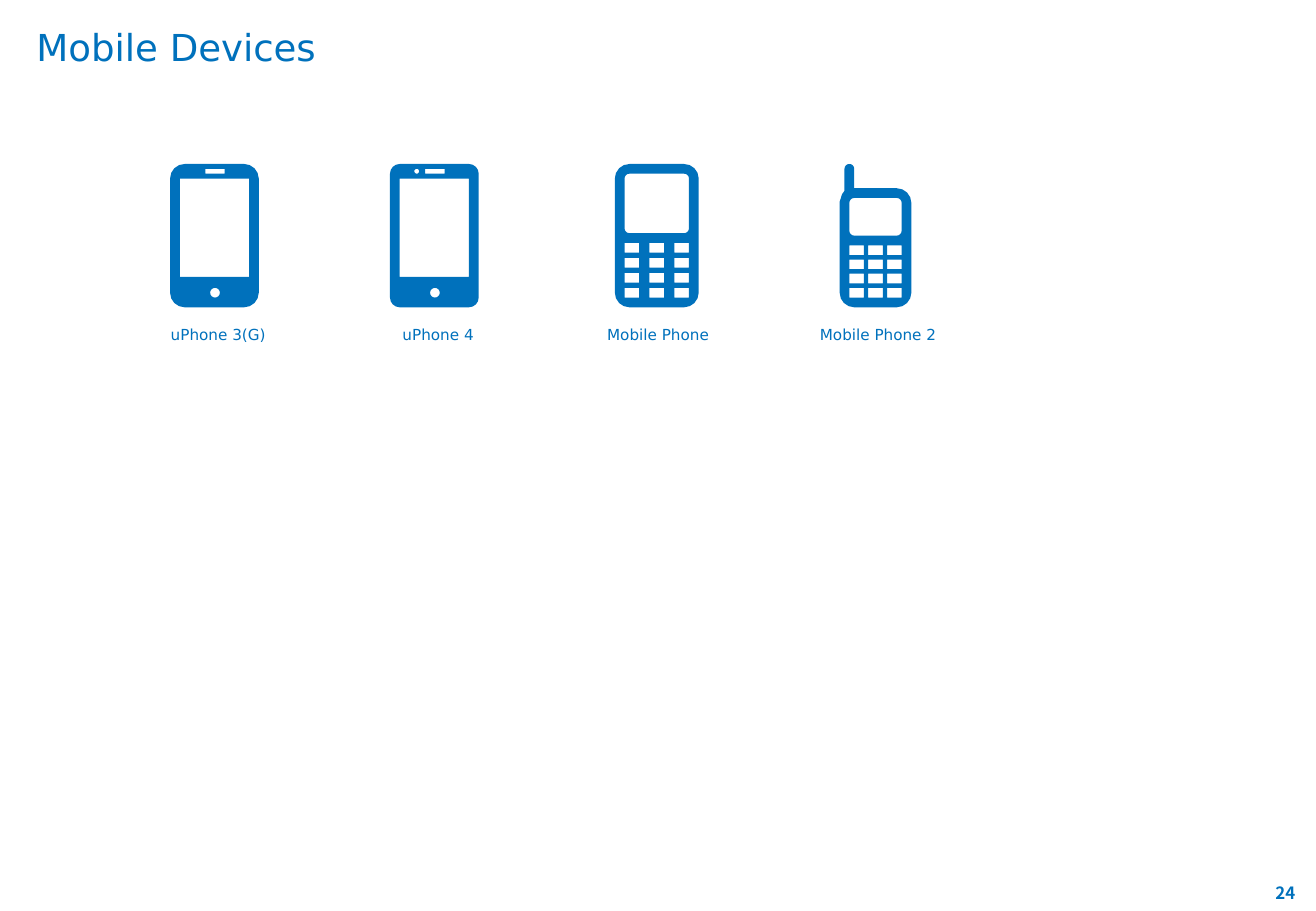
from dataclasses import dataclass
from itertools import product
from math import cos, radians, sin

from pptx import Presentation
from pptx.dml.color import RGBColor
from pptx.enum.shapes import MSO_SHAPE as Preset
from pptx.enum.text import MSO_ANCHOR as Anchor, MSO_AUTO_SIZE as AutoSize, PP_ALIGN as Align
from pptx.util import Emu, Pt

PX = 9144
COLUMN = 181


@dataclass(frozen=True)
class Theme:
    blue: RGBColor = RGBColor(0x00, 0x71, 0xBC)
    font: str = "DejaVu Sans"
    number_font: str = "Noto Sans CJK JP"
    title_size: int = 22
    label_size: int = 9
    number_size: int = 10


def px(length):
    return Emu(round(length * PX))


def write(frame, text, *, font, size, color, bold=False, align=Align.LEFT,
          anchor=Anchor.TOP, spacing=1.0, fit=AutoSize.NONE):
    frame.word_wrap = True
    frame.auto_size = fit
    frame.vertical_anchor = anchor
    frame.margin_left = frame.margin_right = frame.margin_top = frame.margin_bottom = 0
    paragraph = frame.paragraphs[0]
    paragraph.alignment = align
    paragraph.line_spacing = spacing
    run = paragraph.add_run()
    run.text = text
    run.font.name = font
    run.font.size = Pt(size)
    run.font.bold = bold
    run.font.color.rgb = color


def corner(x, y, radius, start, sweep=90):
    steps = sweep * 4 // 90 if radius else 0
    angles = [radians(start + sweep * step / steps) for step in range(steps + 1)] if steps else [0]
    return [(x + radius * cos(a), y + radius * sin(a)) for a in angles]


def outline(left, top, right, bottom, radius=0):
    return (corner(left + radius, top + radius, radius, 180)
            + corner(right - radius, top + radius, radius, 270)
            + corner(right - radius, bottom - radius, radius, 0)
            + corner(left + radius, bottom - radius, radius, 90))


def keypad(left, top, right, bottom, key_width=12, key_height=8):
    column_step = (right - left - key_width) / 2
    row_step = (bottom - top - key_height) / 3
    corners = [(left + column * column_step, top + row * row_step)
               for row, column in product(range(4), range(3))]
    return [outline(x, y, x + key_width, y + key_height) for x, y in corners]


def smartphone(left, radius):
    return [outline(left, 135, left + 73, 253, radius),
            outline(left + 8, 147, left + 65, 228),
            outline(left + 29, 139, left + 45, 143),
            outline(left + 33, 237, left + 41, 245, 4)]


def antenna_body():
    return (corner(699, 139, 4, 180, 180) + [(703, 155)]
            + corner(738, 167, 12, 270) + corner(738, 241, 12, 0) + corner(703, 241, 12, 90)
            + [(691, 166), (692, 163), (693, 160), (695, 157), (695, 155)])


class DeviceSlide:
    def __init__(self, deck, theme):
        self.theme = theme
        self.slide = deck.slides.add_slide(deck.slide_layouts[5])
        self.shapes = self.slide.shapes

    def title(self, text, left, top, width, height):
        heading = self.shapes.title
        heading.left, heading.top, heading.width, heading.height = map(px, (left, top, width, height))
        write(heading.text_frame, text, font=self.theme.font, size=self.theme.title_size,
              color=self.theme.blue, anchor=Anchor.MIDDLE)

    def label(self, text, left, top, width, height):
        caption = self.shapes.add_shape(Preset.ROUNDED_RECTANGLE, *map(px, (left, top, width, height)))
        caption.adjustments[0] = 0
        caption.shadow.inherit = False
        caption.fill.background()
        caption.line.fill.background()
        write(caption.text_frame, text, font=self.theme.font, size=self.theme.label_size,
              color=self.theme.blue, align=Align.CENTER, spacing=1.2, fit=AutoSize.SHAPE_TO_FIT_TEXT)

    def page_number(self, text, left, top, width, height):
        number = self.shapes.add_textbox(*map(px, (left, top, width, height)))
        write(number.text_frame, text, font=self.theme.number_font, size=self.theme.number_size,
              color=self.theme.blue, bold=True, align=Align.RIGHT, anchor=Anchor.MIDDLE)

    def icon(self, contours):
        scaled = [[(px(x), px(y)) for x, y in contour] for contour in contours]
        builder = self.shapes.build_freeform(*scaled[0][0])
        builder.add_line_segments(scaled[0][1:])
        for contour in scaled[1:]:
            builder.move_to(*contour[0])
            builder.add_line_segments(contour[1:])
        device = builder.convert_to_shape()
        device.shadow.inherit = False
        device.fill.solid()
        device.fill.fore_color.rgb = self.theme.blue
        device.line.fill.background()


def main():
    deck = Presentation()
    deck.slide_width, deck.slide_height = px(1083), px(750)
    page = DeviceSlide(deck, Theme())
    page.title("Mobile Devices", 30, 17, 1024, 43)

    camera = outline(341, 139, 345, 143, 2)
    devices = [
        ("uPhone 3(G)", smartphone(140, 12)),
        ("uPhone 4", smartphone(321, 8) + [camera]),
        ("Mobile Phone", [outline(506, 135, 575, 253, 12), outline(514, 143, 567, 192, 4)]
         + keypad(514, 200, 567, 245)),
        ("Mobile Phone 2", [antenna_body(), outline(699, 163, 742, 194, 4)]
         + keypad(699, 202, 742, 245)),
    ]
    for column, (name, contours) in enumerate(devices):
        page.icon(contours)
        page.label(name, 89 + column * COLUMN, 265, COLUMN, 18)

    page.page_number("24", 813, 721, 253, 28)
    deck.save("out.pptx")


if __name__ == "__main__":
    main()
